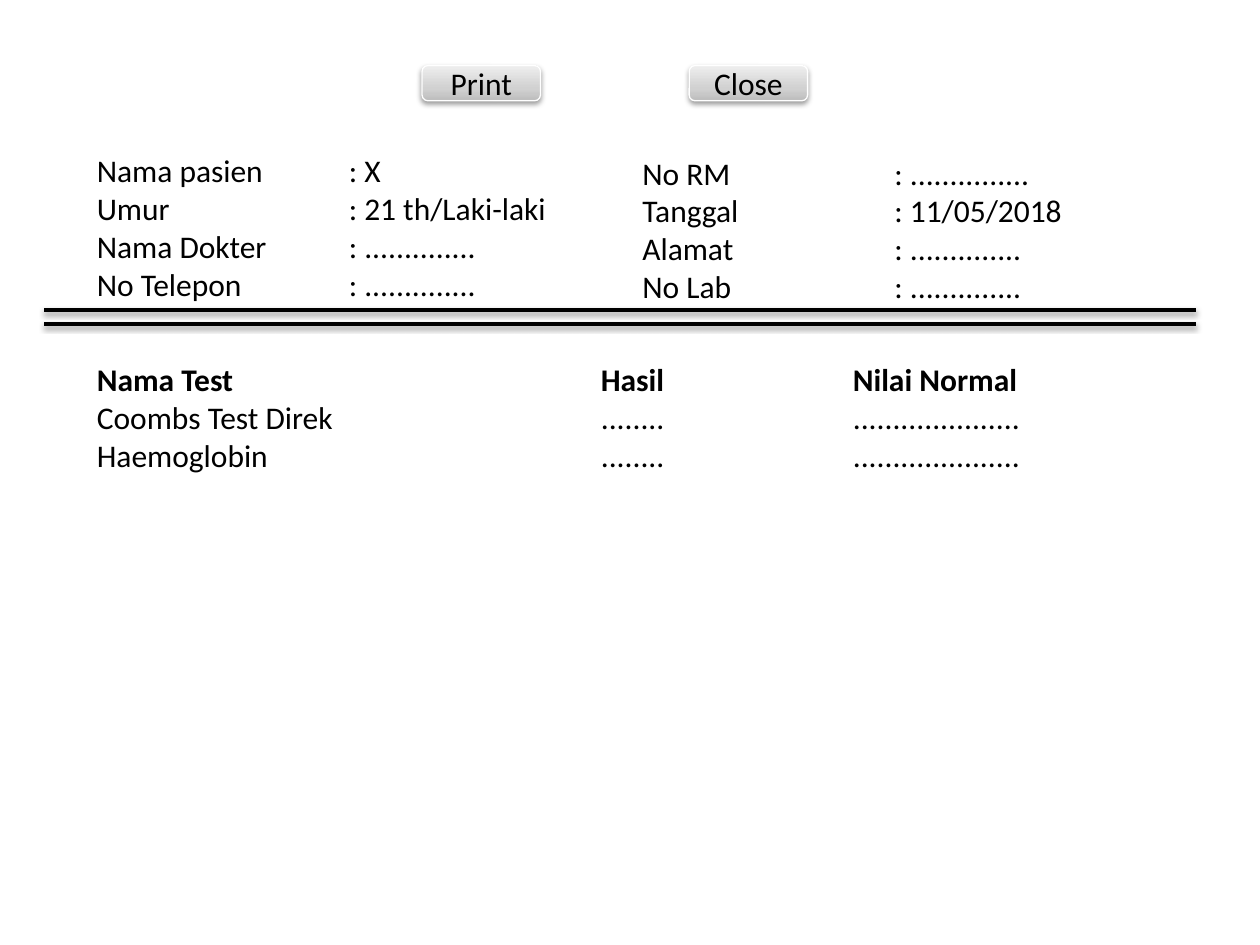
"""Builds a laboratory result form with print and close buttons."""
from copy import deepcopy

from lxml import etree
from pptx import Presentation
from pptx.dml.color import RGBColor
from pptx.enum.shapes import MSO_CONNECTOR, MSO_SHAPE
from pptx.enum.text import MSO_ANCHOR, MSO_AUTO_SIZE, PP_ALIGN
from pptx.oxml.ns import qn
from pptx.util import Inches, Pt

ROUNDED = MSO_SHAPE.ROUNDED_RECTANGLE
STRAIGHT = MSO_CONNECTOR.STRAIGHT
MIDDLE = MSO_ANCHOR.MIDDLE
GROW = MSO_AUTO_SIZE.SHAPE_TO_FIT_TEXT
CENTER = PP_ALIGN.CENTER
BLANK_LAYOUT = 6

PATIENT_ROWS = [
    ("Nama pasien", ": X"),
    ("Umur", ": 21 th/Laki-laki"),
    ("Nama Dokter", ": .............."),
    ("No Telepon", ": .............."),
]
RECORD_ROWS = [
    ("No RM", ": ..............."),
    ("Tanggal", ": 11/05/2018"),
    ("Alamat", ": .............."),
    ("No Lab", ": .............."),
]
RESULT_ROWS = [
    ("Nama Test", "Hasil", "Nilai Normal"),
    ("Coombs Test Direk", "........", "....................."),
    ("Haemoglobin", "........", "....................."),
]


def color(value):
    return RGBColor.from_string(value)


def grid(*cells):
    """Turn grid cells of a tenth of an inch into lengths."""
    return [Inches(cell / 10) for cell in cells]


def write(paragraph, text, font="Calibri", size=18, ink="000000", bold=False, align=None):
    run = paragraph.add_run()
    run.text = text
    run.font.name = font
    run.font.size = Pt(size)
    run.font.bold = bold
    run.font.color.rgb = color(ink)
    paragraph.alignment = align


class Form:
    """Holds the form's style and its current slide."""

    gradient = [(0, "BDBDBD"), (0.35, "D1D1D1"), (1, "EEEEEE")]
    edge = "FFFFFF"
    rule_ink = "000000"
    shadow_ink = "000000"

    def __init__(self, slide):
        self.slide = slide

    def shadow(self, shape):
        effects = etree.SubElement(shape._element.spPr, qn("a:effectLst"))
        outer = etree.SubElement(
            effects, qn("a:outerShdw"),
            blurRad=str(Pt(3.1)), dist=str(Pt(1.6)), dir="5400000", rotWithShape="0")
        ink = etree.SubElement(outer, qn("a:srgbClr"), val=self.shadow_ink)
        etree.SubElement(ink, qn("a:alpha"), val="38000")

    def button(self, label, left, top, width, height):
        shape = self.slide.shapes.add_shape(ROUNDED, *grid(left, top, width, height))
        shape.fill.gradient()
        shape.fill.gradient_angle = 90
        stops = shape._element.spPr.find(".//" + qn("a:gsLst"))
        stops.insert(1, deepcopy(stops[0]))
        for stop, (position, shade) in zip(shape.fill.gradient_stops, self.gradient):
            stop.position = position
            stop.color.rgb = color(shade)
        shape.line.color.rgb = color(self.edge)
        shape.line.width = Pt(0.75)
        self.shadow(shape)
        shape.text_frame.vertical_anchor = MIDDLE
        write(shape.text_frame.paragraphs[0], label, align=CENTER)

    def fields(self, rows, left, top, width, height, tabs, header=False):
        frame = self.slide.shapes.add_textbox(*grid(left, top, width, height)).text_frame
        frame.word_wrap = True
        frame.auto_size = GROW
        for index, row in enumerate(rows):
            paragraph = frame.add_paragraph() if index else frame.paragraphs[0]
            write(paragraph, "\t".join(row), bold=header and index == 0)
            stops = etree.SubElement(paragraph._p.get_or_add_pPr(), qn("a:tabLst"))
            for position in grid(*tabs):
                etree.SubElement(stops, qn("a:tab"), pos=str(position), algn="l")

    def rule(self, left, right, top):
        connector = self.slide.shapes.add_connector(STRAIGHT, *grid(left, top, right, top))
        connector.line.color.rgb = color(self.rule_ink)
        connector.line.width = Pt(2)
        self.shadow(connector)


def main():
    presentation = Presentation()
    presentation.slide_width, presentation.slide_height = grid(100, 75)
    form = Form(presentation.slides.add_slide(presentation.slide_layouts[BLANK_LAYOUT]))
    for label, left in (("Print", 33.5), ("Close", 54.7)):
        form.button(label, left, 5.2, 9.4, 2.8)
    form.fields(PATIENT_ROWS, 6.7, 11.5, 38.6, 13.1, tabs=[20])
    form.fields(RECORD_ROWS, 50, 11.7, 38.6, 13.1, tabs=[20])
    for top in (24.6, 25.7):
        form.rule(3.5, 94.9, top)
    form.fields(RESULT_ROWS, 6.7, 28.1, 85.8, 10.1, tabs=[40, 60], header=True)
    presentation.save("out.pptx")


if __name__ == "__main__":
    main()
